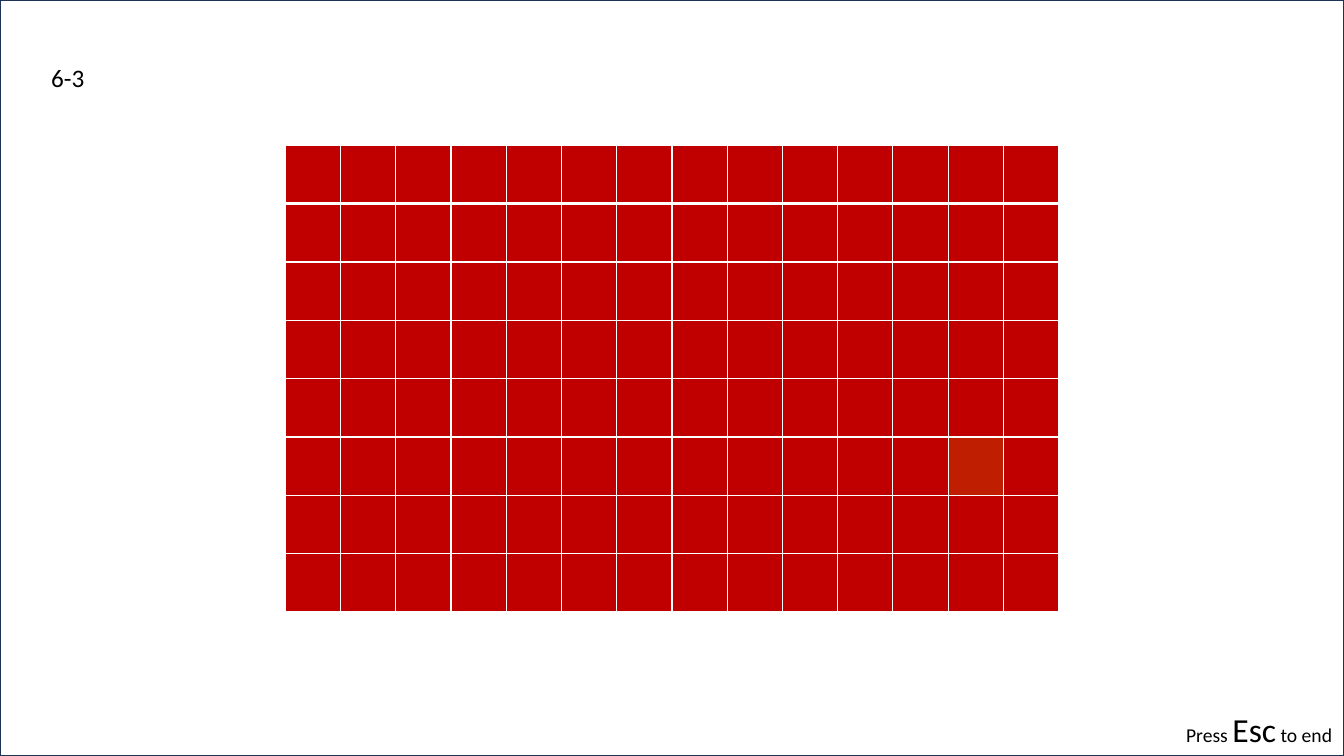
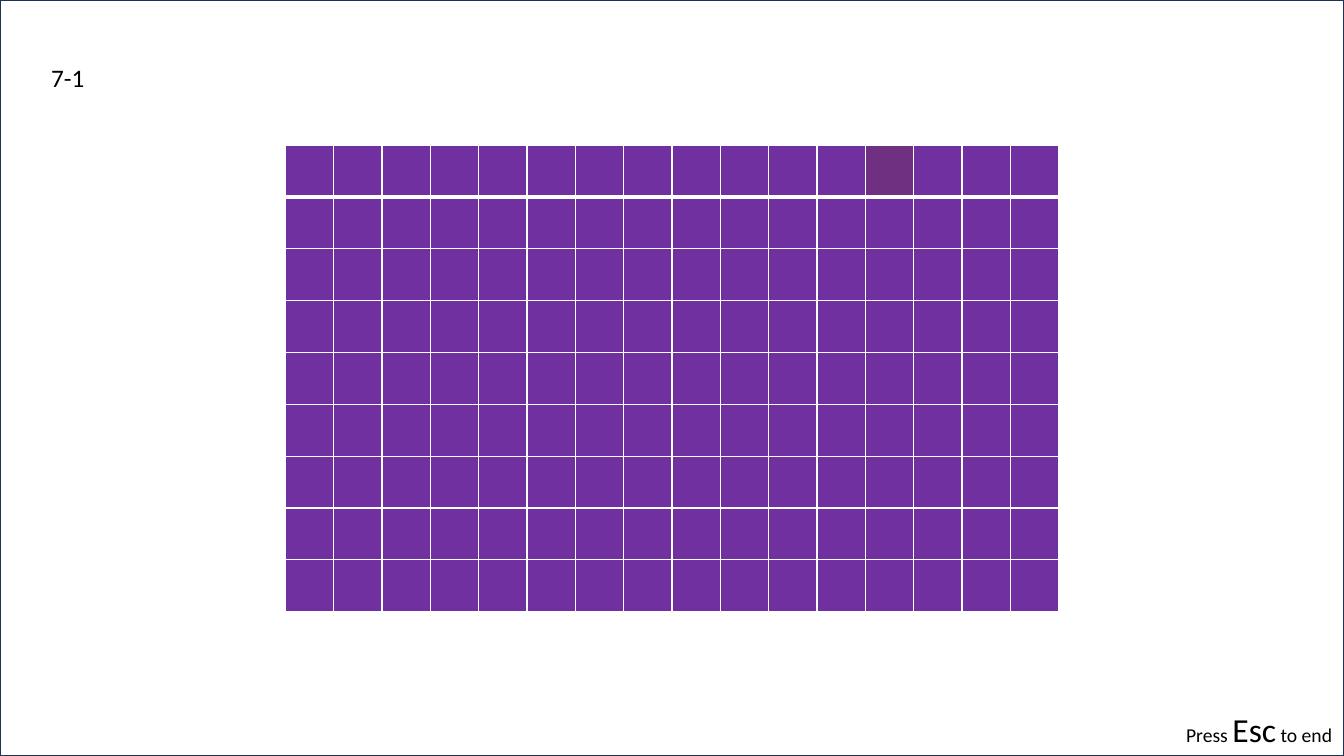
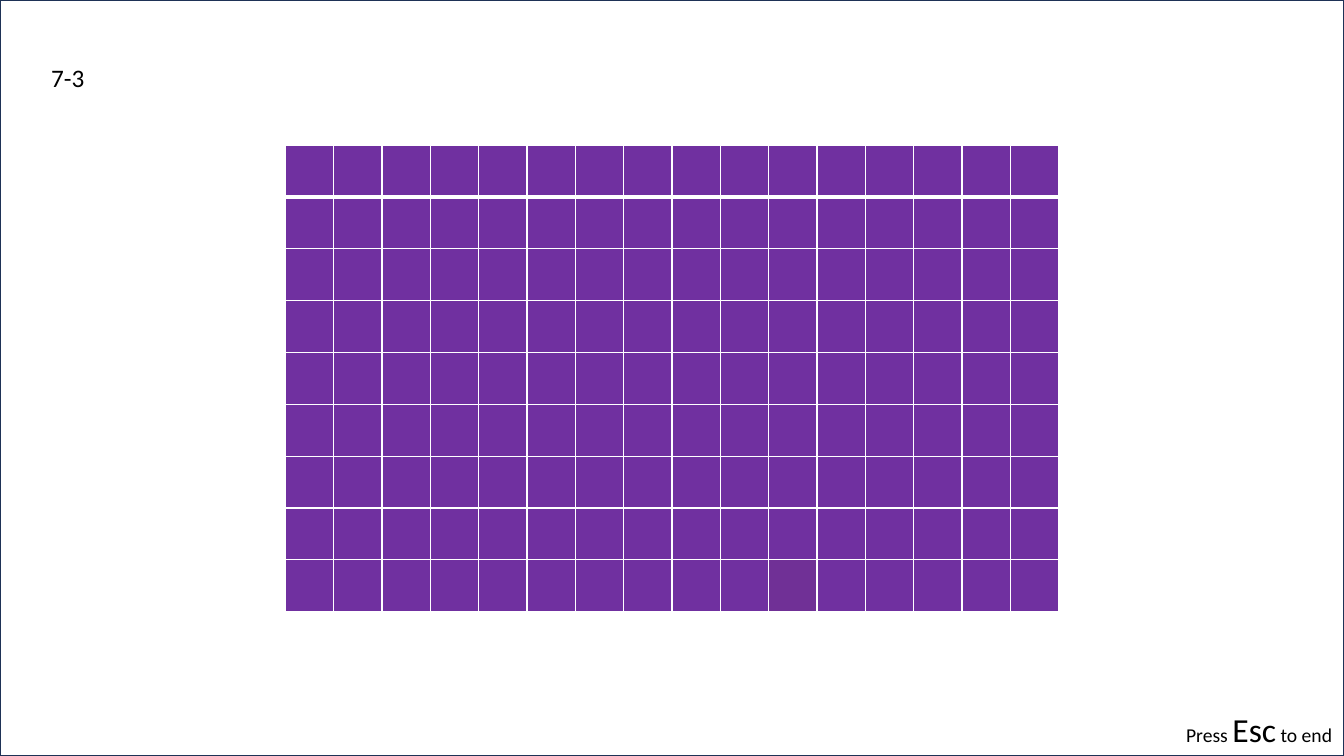
from lxml import etree
from pptx import Presentation
from pptx.dml.color import RGBColor
from pptx.enum.shapes import MSO_SHAPE
from pptx.enum.text import MSO_AUTO_SIZE
from pptx.oxml.ns import qn
from pptx.util import Cm, Pt

RECTANGLE = MSO_SHAPE.RECTANGLE
GROW = MSO_AUTO_SIZE.SHAPE_TO_FIT_TEXT

# Shared look
FONT = "Calibri"
TEXT = "000000"
GRID_LINE = "FFFFFF"
FRAME_LINE = "1E3256"
RED = "C00000"
PURPLE = "7030A0"
SLIDE_W, SLIDE_H = Cm(33.87), Cm(19.05)
BOARD = (Cm(7.19), Cm(3.66), Cm(19.5), Cm(11.76))
LEVEL_BOX = (Cm(1.04), Cm(1.45), Cm(1.37), Cm(1.02))
HINT_BOX = (Cm(29.64), Cm(17.75), Cm(4.22), Cm(1.27))
HINT = [("Press ", 14), ("Esc", 24), (" to end", 14)]

# Level, columns, rows, board colour, odd cell (row, column), odd colour
LEVELS = [
    ("6-3", 14, 8, RED, (5, 12), "C01E00"),
    ("7-1", 16, 9, PURPLE, (0, 12), "703082"),
    ("7-3", 16, 9, PURPLE, (8, 10), "703096"),
]


def color(hex_code):
    return RGBColor.from_string(hex_code)


def set_borders(cell, widths):
    """Give a cell white borders; widths are points for left, right, top, bottom."""
    properties = cell._tc.get_or_add_tcPr()
    for position, (side, width) in enumerate(zip("LRTB", widths)):
        line = etree.Element(qn(f"a:ln{side}"), w=str(Pt(width)))
        fill = etree.SubElement(line, qn("a:solidFill"))
        etree.SubElement(fill, qn("a:srgbClr"), val=GRID_LINE)
        properties.insert(position, line)


def add_board(slide, columns, rows, board_color, odd_cell, odd_color):
    left, top, width, height = BOARD
    board = slide.shapes.add_table(rows, columns, left, top, width, height).table
    board.first_row = board.horz_banding = False
    for column in board.columns:
        column.width = width // columns
    for row in board.rows:
        row.height = height // rows
    for r in range(rows):
        for c in range(columns):
            cell = board.cell(r, c)
            cell.fill.solid()
            cell.fill.fore_color.rgb = color(odd_color if (r, c) == odd_cell else board_color)
            # A thick line separates the first row from the rest
            set_borders(cell, (1, 1, 3 if r == 1 else 1, 3 if r == 0 else 1))


def add_text(slide, box, runs):
    frame = slide.shapes.add_textbox(*box).text_frame
    frame.word_wrap = False
    frame.auto_size = GROW
    for text, size in runs:
        run = frame.paragraphs[0].add_run()
        run.text = text
        run.font.name = FONT
        run.font.size = Pt(size)
        run.font.color.rgb = color(TEXT)


def add_frame(slide):
    frame = slide.shapes.add_shape(RECTANGLE, 0, 0, SLIDE_W, SLIDE_H)
    frame.shadow.inherit = False
    frame.fill.background()
    frame.line.color.rgb = color(FRAME_LINE)
    frame.line.width = Pt(1)


def main():
    deck = Presentation()
    deck.slide_width, deck.slide_height = SLIDE_W, SLIDE_H
    for level, *board in LEVELS:
        slide = deck.slides.add_slide(deck.slide_layouts[6])
        add_board(slide, *board)
        add_text(slide, LEVEL_BOX, [(level, 18)])
        add_frame(slide)
        add_text(slide, HINT_BOX, HINT)
    deck.save("out.pptx")


if __name__ == "__main__":
    main()
